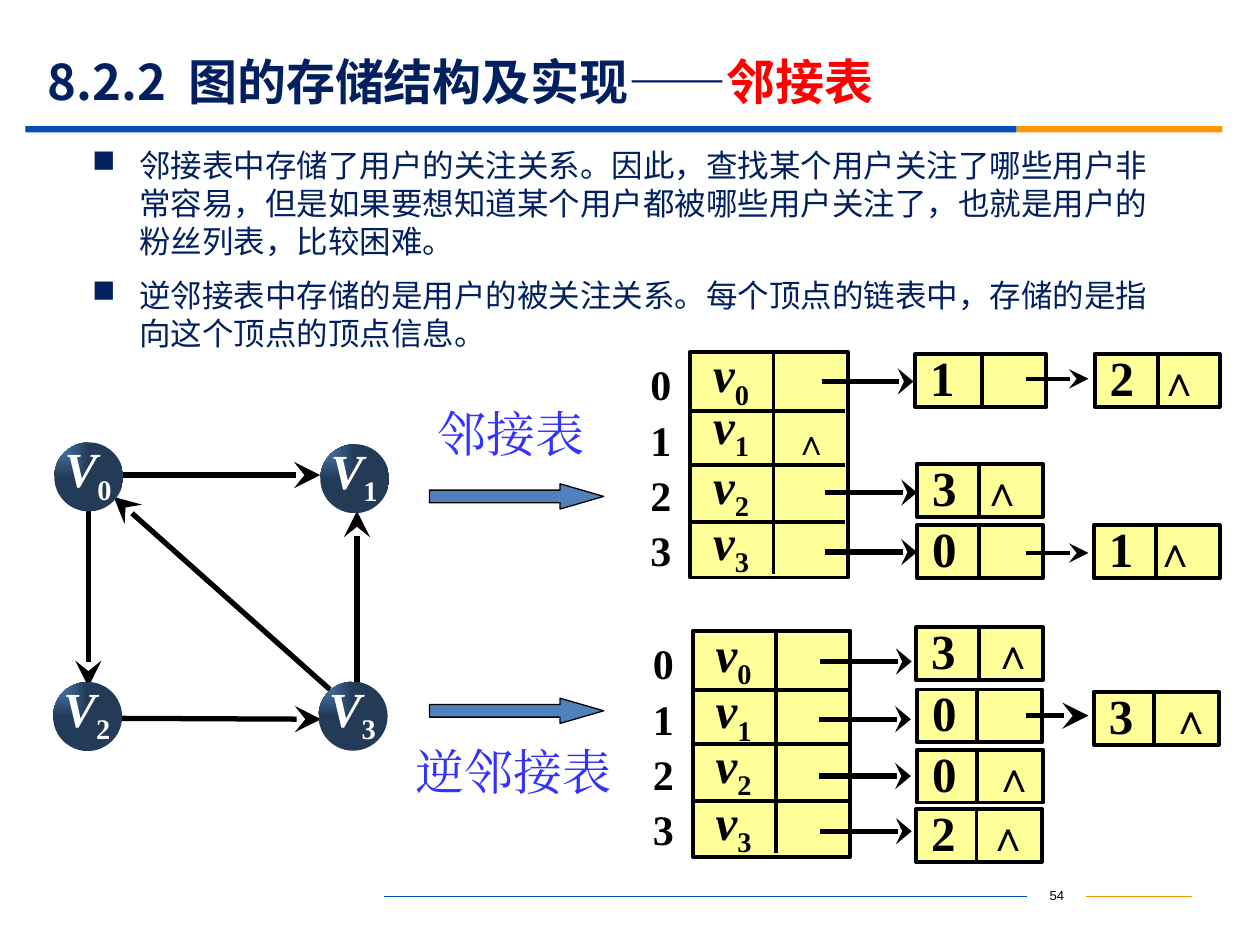
from dataclasses import dataclass

from lxml import etree
from pptx import Presentation
from pptx.dml.color import RGBColor
from pptx.enum.shapes import MSO_CONNECTOR, MSO_SHAPE
from pptx.enum.text import MSO_ANCHOR, PP_ALIGN
from pptx.oxml import parse_xml
from pptx.oxml.ns import nsdecls, qn
from pptx.util import Pt

RECT, OVAL, ARROW = MSO_SHAPE.RECTANGLE, MSO_SHAPE.OVAL, MSO_SHAPE.RIGHT_ARROW
LINE = MSO_CONNECTOR.STRAIGHT
TOP, MID = MSO_ANCHOR.TOP, MSO_ANCHOR.MIDDLE
LEFT, MIDDLE = PP_ALIGN.LEFT, PP_ALIGN.CENTER


@dataclass(frozen=True)
class Theme:
    navy: str = "002060"
    red: str = "FF0000"
    label: str = "3333FF"
    black: str = "000000"
    white: str = "FFFFFF"
    cell: str = "FFFF99"
    block: str = "4F81BD"
    shade: str = "243B57"
    blue: str = "064BB2"
    gold: str = "FB9708"
    foot: str = "F19500"
    sans: str = "Noto Sans CJK SC"
    serif: str = "Times New Roman"
    plain: str = "Arial"
    big: float = 28
    mid: float = 24
    mark: float = 20
    body: float = 18
    tiny: float = 7.5


T = Theme()

BODY = [
    "邻接表中存储了用户的关注关系。因此，查找某个用户关注了哪些用户非常容易，"
    "但是如果要想知道某个用户都被哪些用户关注了，也就是用户的粉丝列表，比较困难。",
    "逆邻接表中存储的是用户的被关注关系。每个顶点的链表中，"
    "存储的是指向这个顶点的顶点信息。",
]
# left, top, digit, tab of the end mark (None: a link follows), width, divider
OUT_CELLS = [
    (523, 202.3, "1", None, 75, 38), (625.5, 202.3, "2", 28, 71.5, 36),
    (524, 265, "3", 28, 72, 35.5), (524, 300.2, "0", None, 72, 35.5),
    (625, 300.2, "1", 26, 72, 35.5),
]
IN_CELLS = [
    (523.5, 358.5, "3", 35, 72.5, 36), (524, 394, "0", None, 71.5, 34.5),
    (625, 395.3, "3", 35, 71.5, 34.5), (524, 428.4, "0", 35, 72, 34.5),
    (523.5, 462.2, "2", 32, 72, 34.5),
]


def style(run, size, color, font=T.serif, bold=False, italic=False):
    f = run.font
    f.size, f.bold, f.italic, f.name = Pt(size), bold, italic, font
    f.color.rgb = RGBColor.from_string(color)
    east = etree.SubElement(run.font._element, qn("a:ea"))
    east.set("typeface", font)


def add_run(para, text, *args, **kw):
    run = para.add_run()
    run.text = text
    style(run, *args, **kw)
    return run


def inset(frame, left=0, top=0, right=0, base=0):
    frame.margin_left, frame.margin_top = Pt(left), Pt(top)
    frame.margin_right, frame.margin_bottom = Pt(right), Pt(base)


def add_box(slide, x, y, w, h):
    frame = slide.shapes.add_textbox(Pt(x), Pt(y), Pt(w), Pt(h)).text_frame
    frame.word_wrap = True
    return frame


def add_text(slide, x, y, w, h, text, *args, **kw):
    frame = add_box(slide, x, y, w, h)
    frame.text = text
    for para in frame.paragraphs:
        style(para.runs[0], *args, **kw)
    return frame


def add_shape(slide, kind, x, y, w, h, fill=None, line=None):
    """Add a flat shape; line is the width of a black outline."""
    shape = slide.shapes.add_shape(kind, Pt(x), Pt(y), Pt(w), Pt(h))
    shape.shadow.inherit = False
    if fill:
        shape.fill.solid()
        shape.fill.fore_color.rgb = RGBColor.from_string(fill)
    if line:
        shape.line.color.rgb = RGBColor.from_string(T.black)
        shape.line.width = Pt(line)
    else:
        shape.line.fill.background()
    return shape


def add_line(slide, x1, y1, x2, y2, width=2.25, color=T.black, head=None):
    """Draw a line; head is the length of its arrowhead, med or lg."""
    line = slide.shapes.add_connector(LINE, Pt(x1), Pt(y1), Pt(x2), Pt(y2))
    line.line.width = Pt(width)
    line.line.color.rgb = RGBColor.from_string(color)
    if head:
        etree.SubElement(line.line._get_or_add_ln(), qn("a:tailEnd"),
                         type="stealth", w="lg", len=head)
    etree.SubElement(line._element.spPr, qn("a:effectLst"))


def add_name(slide, x, y, w, h, letter, digit, color):
    """Add a vertex name with its index lowered."""
    frame = add_box(slide, x, y, w, h)
    para = frame.paragraphs[0]
    add_run(para, letter, T.big, color, bold=True, italic=True)
    low = add_run(para, str(digit), T.big, color, bold=True)
    low.font._element.set("baseline", "-25000")
    return frame


def add_node(slide, x, y, digit):
    ball = add_shape(slide, OVAL, x, y, 39.5, 39.5)
    ball.fill.background()
    old = ball._element.spPr.find(qn("a:noFill"))
    old.getparent().replace(old, parse_xml(
        f'<a:gradFill {nsdecls("a")}><a:gsLst>'
        f'<a:gs pos="0"><a:srgbClr val="{T.block}"/></a:gs>'
        f'<a:gs pos="100000"><a:srgbClr val="{T.shade}"/></a:gs></a:gsLst>'
        '<a:path path="rect"><a:fillToRect r="100000" b="100000"/></a:path>'
        '</a:gradFill>'))
    inset(add_name(slide, x + 5, y - 4, 37, 47, "V", digit, T.white), 1, 2, 0, 1)


def add_cell(slide, x, y, digit, tab, w, split):
    box = add_shape(slide, RECT, x, y, w, 30.2, T.cell, 2.25)
    frame = box.text_frame
    frame.vertical_anchor = TOP
    inset(frame, 8.6, 0, 0, 0.7)
    para = frame.paragraphs[0]
    para.alignment, para.line_spacing = LEFT, 0.9
    add_run(para, digit, T.big, T.black, bold=True)
    if tab:
        stops = etree.SubElement(para._p.get_or_add_pPr(), qn("a:tabLst"))
        etree.SubElement(stops, qn("a:tab"), pos=str(Pt(tab)), algn="l")
        add_run(para, "\t∧", T.mid, T.black, bold=True)
    add_line(slide, x + split, y, x + split, y + 30.2)


def add_list(slide, x, y, tops, cells, links):
    """Draw the vertex table at x, y with its chains of cells."""
    add_shape(slide, RECT, x, y, 90, 129, T.cell, 2.25)
    add_line(slide, x + 47.5, y, x + 47.5, y + 127)
    for rule in (33.8, 64.8, 97.2):
        add_line(slide, x, y + rule, x + 88.5, y + rule)
    for i, top in enumerate(tops):
        inset(add_name(slide, x + 13, y + top, 30, 34, "v", i, T.black))
    index = add_text(slide, x - 30, y - 2.5, 26, 134, "0\n1\n2\n3",
                     T.mid, T.black, bold=True)
    for para in index.paragraphs:
        para.line_spacing = 1.1
    for cell in cells:
        add_cell(slide, *cell)
    for left, level in links:
        add_line(slide, left, level, left + 52.5, level, 3, head="med")


def add_graph(slide):
    for x1, y1, x2, y2 in ((70, 271.5, 183, 271.5), (50.5, 292, 50.5, 392.5),
                           (68, 410.5, 183.5, 411), (188.5, 394, 65, 284),
                           (204, 392.5, 204, 292)):
        add_line(slide, x1, y1, x2, y2, 3, head="lg")
    for i, spot in enumerate(((31, 252.8), (183, 253.8), (30.3, 389.7), (182, 389.5))):
        add_node(slide, *spot, i)


def add_frame(slide):
    """Draw the title rule and the foot of the page."""
    add_shape(slide, RECT, 14.5, 72, 566.5, 3.6, T.blue)
    add_shape(slide, RECT, 581, 72, 117.5, 3.6, T.gold)
    add_line(slide, 219.5, 512.5, 587, 512.5, 0.75, T.blue)
    add_line(slide, 620.5, 512.5, 681, 512.5, 0.75, T.foot)
    page = add_text(slide, 587, 503.5, 34, 18, "54", T.tiny, T.black, T.plain)
    page.paragraphs[0].alignment = MIDDLE


def set_title(slide):
    title = slide.shapes.title
    title.left, title.top, title.width, title.height = Pt(20), Pt(31), Pt(648), Pt(31)
    title.text_frame.vertical_anchor = MID
    para = title.text_frame.paragraphs[0]
    para.alignment = LEFT
    for text, color in (("8.2.2  图的存储结构及实现——", T.navy), ("邻接表", T.red)):
        add_run(para, text, T.big, color, T.sans, bold=True)


def add_body(slide):
    frame = add_text(slide, 45.5, 80, 630, 127.5, "\n".join(BODY),
                     T.body, T.navy, T.sans)
    for i, para in enumerate(frame.paragraphs):
        para.line_spacing, para.space_before = Pt(21.7), Pt(9 * i)
        props = para._p.get_or_add_pPr()
        props.set("marL", str(Pt(27)))
        props.set("indent", str(Pt(-27)))
        etree.SubElement(props, qn("a:buChar"), char="■")


def main():
    deck = Presentation()
    deck.slide_width, deck.slide_height = Pt(720), Pt(540)
    slide = deck.slides.add_slide(deck.slide_layouts[5])
    add_frame(slide)
    set_title(slide)
    for y in (276.5, 399):
        arrow = add_shape(slide, ARROW, 245.5, y, 99.5, 14.4, T.block, 0.75)
        arrow.adjustments[1] = 1.73
    inset(add_text(slide, 250, 230.5, 96, 34, "邻接表", T.big, T.label))
    add_text(slide, 230.5, 420, 132, 41, "逆邻接表", T.big, T.label)
    add_graph(slide)
    add_list(slide, 394.5, 201, (-4.5, 25, 59, 91), OUT_CELLS,
             ((469.5, 218), (471.5, 281.5), (471.5, 315.5)))
    add_text(slide, 446.5, 237, 36, 31, "∧", T.mark, T.black, bold=True)
    add_list(slide, 396, 360.5, (-4.5, 28, 59, 91.5), IN_CELLS,
             ((468.5, 378), (468, 411), (468, 443.5), (468.5, 475)))
    for y, width in ((216.5, 2.25), (316, 2.25), (409, 3)):
        add_line(slide, 586.5, y, 622, y, width, head="lg")
    add_body(slide)
    deck.save("out.pptx")


if __name__ == "__main__":
    main()
